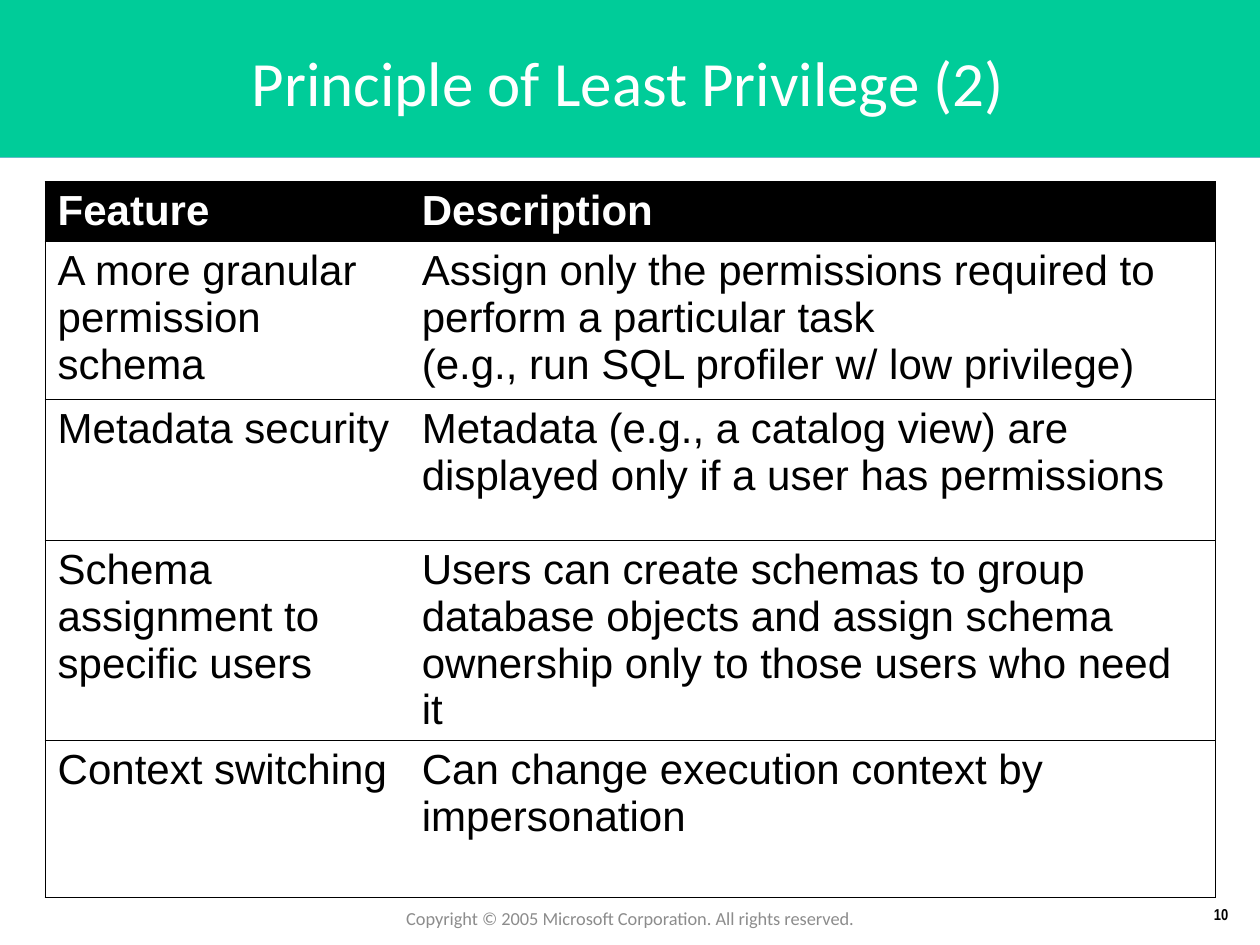
import pptx
import pptx.util
import pptx.dml.color
import pptx.enum.shapes
import pptx.enum.text
from lxml import etree

Cm, Pt = pptx.util.Cm, pptx.util.Pt
RGBColor = pptx.dml.color.RGBColor
ALIGN = pptx.enum.text.PP_ALIGN
ANCHOR = pptx.enum.text.MSO_ANCHOR

GREEN = RGBColor(0x00, 0xCC, 0x99)
BLUE = RGBColor(0x33, 0x33, 0xCC)
WHITE = RGBColor(0xFF, 0xFF, 0xFF)
BLACK = RGBColor(0x00, 0x00, 0x00)
GRAY = RGBColor(0x8C, 0x8C, 0x8C)

# Content
TITLE = "Principle of Least Privilege (2)"
COPYRIGHT = "Copyright © 2005 Microsoft Corporation. All rights reserved."
PAGE_NUMBER = "10"
FEATURES = [
    ("Feature", "Description"),
    ("A more granular permission schema",
     "Assign only the permissions required to perform a particular task\n"
     "(e.g., run SQL profiler w/ low privilege)"),
    ("Metadata security",
     "Metadata (e.g., a catalog view) are displayed only if a user has permissions"),
    ("Schema assignment to specific users",
     "Users can create schemas to group database objects and assign schema "
     "ownership only to those users who need it"),
    ("Context switching", "Can change execution context by impersonation"),
]

# Measures in centimetres
SLIDE_WIDTH, SLIDE_HEIGHT, BAND_HEIGHT = 25.4, 19.05, 3.18
COLUMN_WIDTHS = (7.34, 16.26)
ROW_HEIGHTS = (1.21, 3.18, 2.84, 3.68, 3.18)


def style_text(frame, font_name, size, color, align=ALIGN.LEFT, bold=False):
    frame.word_wrap = True
    for paragraph in frame.paragraphs:
        paragraph.alignment = align
        for run in paragraph.runs:
            run.font.name = font_name
            run.font.size = Pt(size)
            run.font.bold = bold
            run.font.color.rgb = color


def add_band(slide, top, height, color):
    band = slide.shapes.add_shape(pptx.enum.shapes.MSO_SHAPE.RECTANGLE,
                                  0, Cm(top), Cm(SLIDE_WIDTH), Cm(height))
    band.shadow.inherit = False
    band.fill.solid()
    band.fill.fore_color.rgb = color
    band.line.fill.background()


def add_footer(slide, text, box, anchor, **style):
    footer = slide.shapes.add_textbox(*(Cm(length) for length in box))
    footer.text_frame.text = text
    footer.text_frame.vertical_anchor = anchor
    style_text(footer.text_frame, **style)


def set_borders(cell, visible_sides):
    properties = cell._tc.get_or_add_tcPr()
    for side in "LRTB":
        line = etree.SubElement(properties, pptx.oxml.ns.qn(f"a:ln{side}"), w=str(Pt(0.75)))
        if side in visible_sides:
            fill = etree.SubElement(line, pptx.oxml.ns.qn("a:solidFill"))
            etree.SubElement(fill, pptx.oxml.ns.qn("a:srgbClr"), val=str(BLACK))
        else:
            etree.SubElement(line, pptx.oxml.ns.qn("a:noFill"))


def add_feature_table(slide):
    table = slide.shapes.add_table(
        len(FEATURES), len(COLUMN_WIDTHS), Cm(0.91), Cm(3.66),
        Cm(sum(COLUMN_WIDTHS)), Cm(sum(ROW_HEIGHTS))).table
    table.first_row = table.horz_banding = False
    for column, width in zip(table.columns, COLUMN_WIDTHS):
        column.width = Cm(width)
    for row, height in zip(table.rows, ROW_HEIGHTS):
        row.height = Cm(height)
    for row_index, texts in enumerate(FEATURES):
        is_header = row_index == 0
        for column_index, text in enumerate(texts):
            cell = table.cell(row_index, column_index)
            cell.text_frame.text = text
            style_text(cell.text_frame, "Arial", 24,
                       WHITE if is_header else BLACK, bold=is_header)
            set_borders(cell, "TB" + "LR"[column_index])
            cell.fill.solid()
            cell.fill.fore_color.rgb = BLACK if is_header else WHITE


def main():
    deck = pptx.Presentation()
    deck.slide_width, deck.slide_height = Cm(SLIDE_WIDTH), Cm(SLIDE_HEIGHT)
    slide = deck.slides.add_slide(deck.slide_layouts[5])

    # Backdrop
    slide.background.fill.solid()
    slide.background.fill.fore_color.rgb = BLUE
    add_band(slide, 0, BAND_HEIGHT, GREEN)
    add_band(slide, BAND_HEIGHT, SLIDE_HEIGHT - BAND_HEIGHT, WHITE)

    # Footer
    add_footer(slide, PAGE_NUMBER, (22.17, 17.96, 2.84, 0.79), ANCHOR.BOTTOM,
               font_name="Arial Narrow", size=9, color=BLACK, align=ALIGN.RIGHT, bold=True)
    add_footer(slide, COPYRIGHT, (5.72, 18.16, 13.97, 0.69), ANCHOR.MIDDLE,
               font_name="Calibri", size=10.5, color=GRAY, align=ALIGN.CENTER)

    # Title, raised above the green band
    title = slide.shapes.title
    slide.shapes._spTree.append(title._element)
    title.left, title.top, title.width, title.height = Cm(0.86), Cm(0.15), Cm(23.6), Cm(2.97)
    title.text_frame.text = TITLE
    title.text_frame.vertical_anchor = ANCHOR.MIDDLE
    style_text(title.text_frame, "Calibri", 36, WHITE, ALIGN.CENTER)

    add_feature_table(slide)
    deck.save("out.pptx")


if __name__ == "__main__":
    main()
